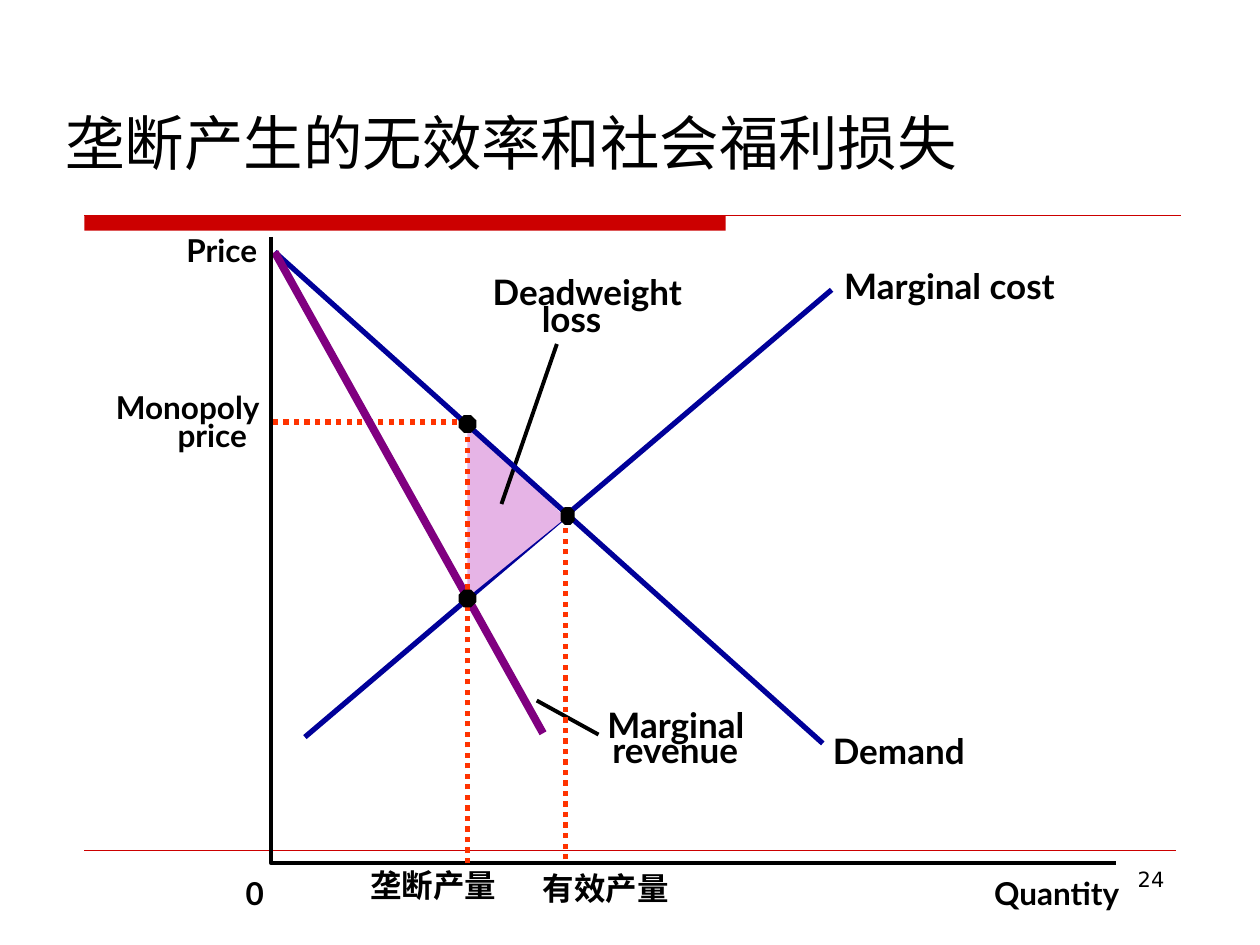
from lxml import etree
from pptx import Presentation
from pptx import util as u
from pptx.dml.color import RGBColor
from pptx.enum import dml, shapes, text
from pptx.oxml.ns import qn

BLACK, RED, NAVY, PURPLE = "000000", "CC0000", "000099", "800080"
ORANGE, LILAC = "FF3300", "E6B4E6"
LEFT, CENTER, RIGHT = text.PP_ALIGN.LEFT, text.PP_ALIGN.CENTER, text.PP_ALIGN.RIGHT


def color(value):
    return RGBColor.from_string(value)


class ChartSlide:
    columns, rows = 100, 75
    body_font, label_font = "DejaVu Sans", "Lato"

    def __init__(self, presentation):
        self.width = presentation.slide_width
        self.height = presentation.slide_height
        self.slide = presentation.slides.add_slide(presentation.slide_layouts[5])

    def x(self, column):
        return round(self.width * column / self.columns)

    def y(self, row):
        return round(self.height * row / self.rows)

    def box(self, left, top, width, height):
        return self.x(left), self.y(top), self.x(width), self.y(height)

    def set_text(self, frame, words, size, font, bold=False, align=LEFT, spacing=None):
        frame.text = words
        paragraph = frame.paragraphs[0]
        paragraph.alignment = align
        paragraph.line_spacing = spacing
        paragraph.font.size = u.Pt(size)
        paragraph.font.name = font
        paragraph.font.bold = bold
        paragraph.font.color.rgb = color(BLACK)

    def title(self, words, *place):
        shape = self.slide.shapes.title
        shape.left, shape.top, shape.width, shape.height = self.box(*place)
        frame = shape.text_frame
        frame.auto_size = text.MSO_AUTO_SIZE.NONE
        frame.vertical_anchor = text.MSO_ANCHOR.MIDDLE
        self.set_text(frame, words, 34, self.body_font)

    def page_number(self, words, *place):
        frame = self.slide.shapes.add_textbox(*self.box(*place)).text_frame
        frame.word_wrap = True
        self.set_text(frame, words, 12, self.body_font, align=RIGHT)

    def label(self, words, left, top, width, size, align=LEFT, spacing=None):
        height = size / 6 * (spacing or 1)
        frame = self.slide.shapes.add_textbox(*self.box(left, top, width, height)).text_frame
        frame.margin_left = frame.margin_right = frame.margin_top = frame.margin_bottom = 0
        frame.word_wrap = False
        frame.auto_size = text.MSO_AUTO_SIZE.SHAPE_TO_FIT_TEXT
        self.set_text(frame, words, size, self.label_font, True, align, spacing)

    def line(self, start, end, stroke, weight, dotted=False):
        connector = self.slide.shapes.add_connector(
            shapes.MSO_CONNECTOR.STRAIGHT,
            self.x(start[0]), self.y(start[1]), self.x(end[0]), self.y(end[1]))
        connector.line.color.rgb = color(stroke)
        connector.line.width = u.Pt(weight)
        if dotted:
            connector.line.dash_style = dml.MSO_LINE.ROUND_DOT
        etree.SubElement(connector._element.spPr, qn("a:effectLst"))

    def paint(self, shape, fill):
        shape.shadow.inherit = False
        shape.fill.solid()
        shape.fill.fore_color.rgb = color(fill)
        shape.line.fill.background()

    def preset(self, kind, fill, *place):
        self.paint(self.slide.shapes.add_shape(kind, *self.box(*place)), fill)

    def dot(self, center, width=1.4, height=1.4):
        self.preset(shapes.MSO_SHAPE.OCTAGON, BLACK,
                    center[0] - width / 2, center[1] - height / 2, width, height)

    def outline(self, points, close):
        corners = [(self.x(column), self.y(row)) for column, row in points]
        builder = self.slide.shapes.build_freeform(*corners[0])
        builder.add_line_segments(corners[1:], close=close)
        return builder.convert_to_shape()

    def area(self, points, fill):
        self.paint(self.outline(points, True), fill)

    def axes(self, points):
        shape = self.outline(points, False)
        shape.shadow.inherit = False
        shape.fill.background()
        shape.line.color.rgb = color(BLACK)
        shape.line.width = u.Pt(2.25)


def main():
    presentation = Presentation()
    presentation.slide_width = u.Inches(10)
    presentation.slide_height = u.Inches(7.5)
    chart = ChartSlide(presentation)

    chart.preset(shapes.MSO_SHAPE.RECTANGLE, RED, 6.7, 17.1, 50.9, 1.2)
    chart.line((6.7, 17.1), (93.7, 17.1), RED, 0.75)
    chart.line((6.7, 67.5), (93.3, 67.5), RED, 0.25)
    chart.page_number("24", 71.7, 68.3, 21.7, 5.2)
    chart.title("垄断产生的无效率和社会福利损失", 4.2, 5, 88.3, 12.5)

    origin = (21.5, 68.5)
    intercept = (21.8, 20)
    monopoly = (37.1, 33.5)
    marginal = (37.1, 47.4)
    efficient = (44.9, 41.1)

    chart.line((66, 23), (24.2, 58.5), NAVY, 3)
    chart.line(monopoly, (21.7, monopoly[1]), ORANGE, 3, dotted=True)
    chart.area([monopoly, marginal, efficient], LILAC)
    chart.line((39.8, 40), (44.2, 27.3), BLACK, 2.25)
    chart.line((42.6, 55.6), (47.5, 58.3), BLACK, 2.25)
    chart.line(intercept, (65.3, 59), NAVY, 3)
    chart.line(intercept, (43.1, 58.2), PURPLE, 4.5)
    chart.axes([(origin[0], 18.8), origin, (88.6, origin[1])])
    chart.line((efficient[0], 68.2), efficient, ORANGE, 3, dotted=True)
    chart.line((monopoly[0], origin[1]), monopoly, ORANGE, 3, dotted=True)
    chart.dot((45.05, 40.95), width=1.1)
    chart.dot((37.1, 47.5))
    chart.dot((37.1, 33.65))

    for label in [
        ("Price", 14.8, 18.3, 6.2, 18),
        ("Monopoly", 8.2, 30.8, 12.4, 18, RIGHT),
        ("price", 13.3, 33, 6.3, 18, RIGHT),
        ("0", 19.5, 69.4, 1.4, 18),
        ("Quantity", 78.9, 69.4, 11.1, 18),
        ("垄断产量", 29.4, 69.2, 10, 18, CENTER, 0.85),
        ("有效产量", 43.1, 69.4, 10, 18, CENTER, 0.85),
        ("Deadweight", 39.1, 21.5, 16.8, 20),
        ("loss", 43, 23.6, 5.3, 20),
        ("Marginal cost", 67, 21, 19, 20),
        ("Marginal", 48.2, 55.8, 12.5, 20),
        ("revenue", 48.6, 57.8, 11.4, 20),
        ("Demand", 66.1, 57.9, 11.7, 20),
    ]:
        chart.label(*label)

    presentation.save("out.pptx")


if __name__ == "__main__":
    main()
